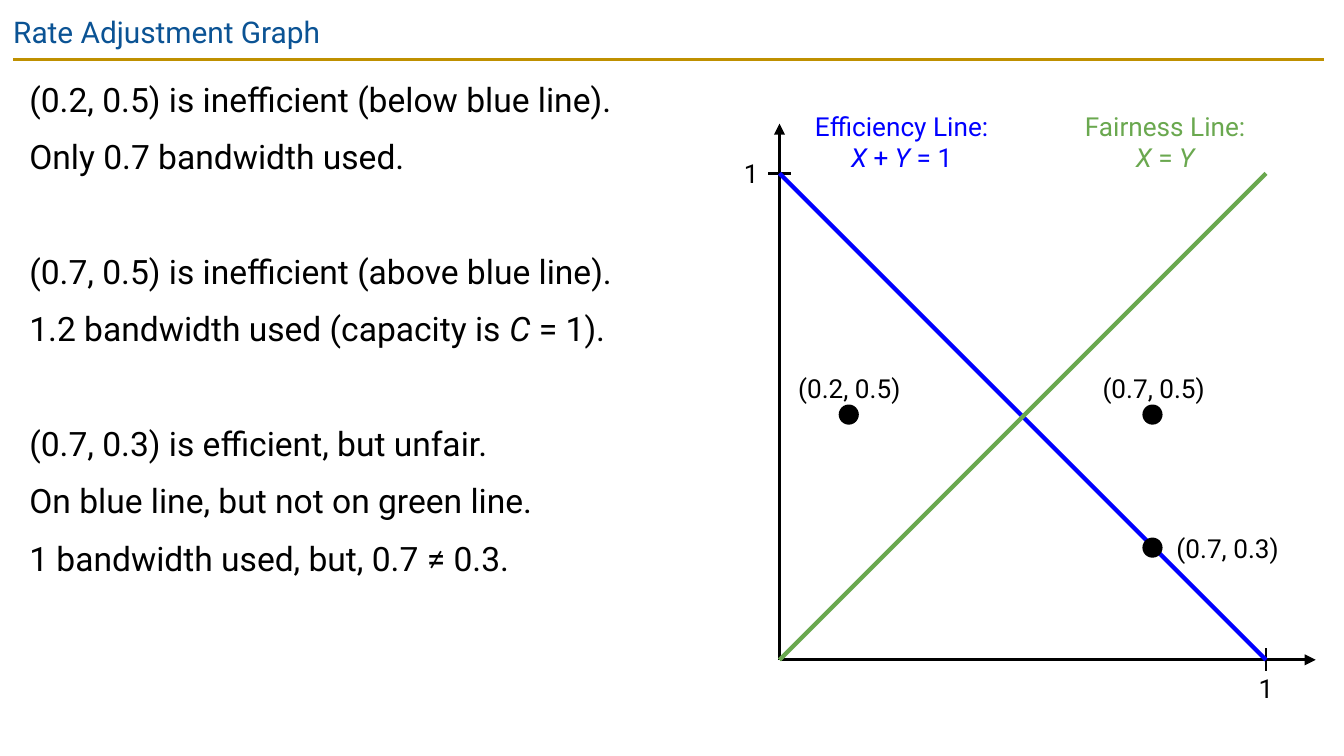
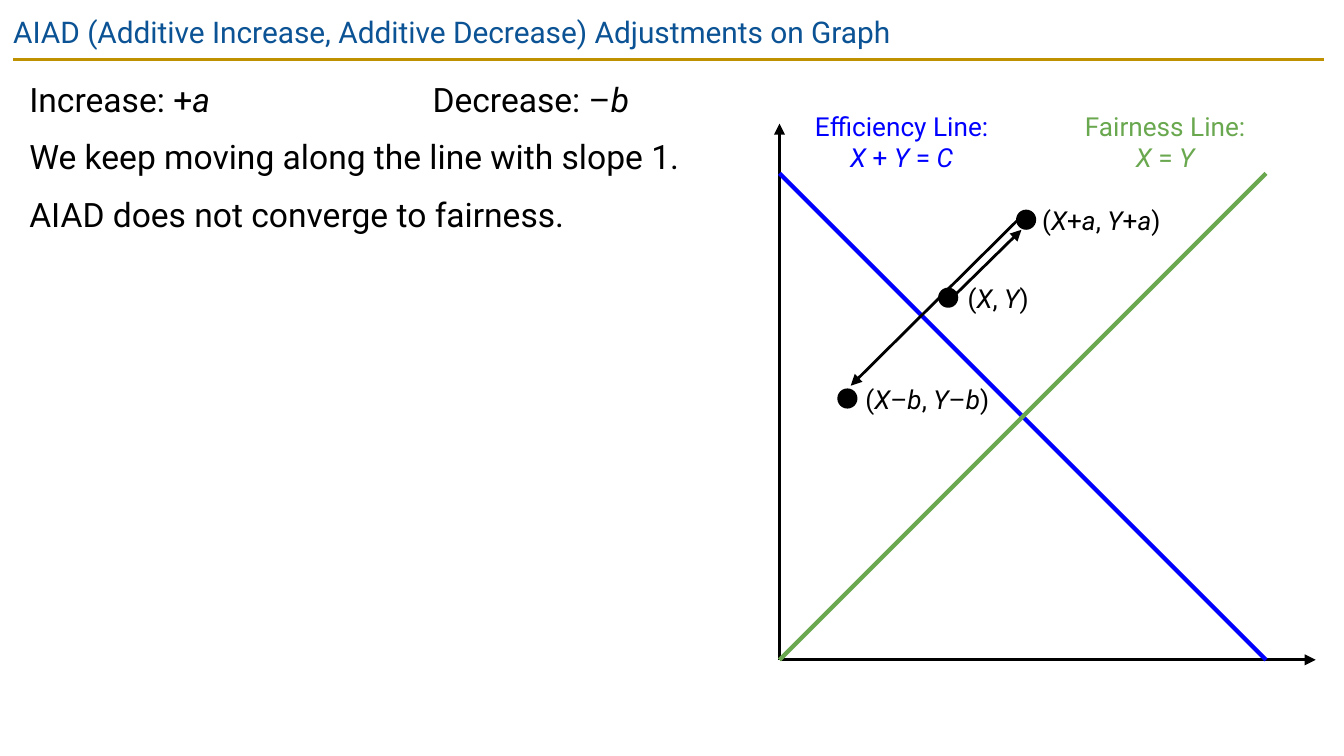
from lxml import etree
from pptx import Presentation, util as u
from pptx.dml.color import RGBColor
from pptx.enum import shapes, text
from pptx.oxml.ns import qn

# Content: *...* marks italics; each group of body lines is set apart by a gap
# Labels are (text, left, top, width, alignment); dots are (left, top)
SLIDES = [
    dict(
        title="Rate Adjustment Graph",
        body=[
            ["(0.2, 0.5) is inefficient (below blue line).",
             "Only 0.7 bandwidth used."],
            ["(0.7, 0.5) is inefficient (above blue line).",
             "1.2 bandwidth used (capacity is *C *= 1)."],
            ["(0.7, 0.3) is efficient, but unfair.",
             "On blue line, but not on green line.",
             "1 bandwidth used, but, 0.7 ≠ 0.3."],
        ],
        efficiency="*X* + *Y* = 1",
        ticks=True,
        labels=[("(0.2, 0.5)", 5.87, 2.77, 0.9, "center"),
                ("(0.7, 0.5)", 8.17, 2.77, 0.83, "center"),
                ("(0.7, 0.3)", 8.67, 3.96, 0.93, "center")],
        dots=[(6.24, 3.01), (8.5, 3.01), (8.5, 4)],
        moves=[],
    ),
    dict(
        title="AIAD (Additive Increase, Additive Decrease) Adjustments on Graph",
        body=[["Increase: +*a*\t\tDecrease: –*b*",
               "We keep moving along the line with slope 1.",
               "AIAD does not converge to fairness."]],
        efficiency="*X* + *Y* = *C*",
        ticks=False,
        labels=[("(*X*, *Y*)", 7.2, 2.1, 0.88, "left"),
                ("(*X*+*a*, *Y*+*a*)", 7.73, 1.52, 0.93, "center"),
                ("(*X*–*b*, *Y*–*b*)", 6.4, 2.85, 1, "center")],
        dots=[(6.98, 2.14), (7.56, 1.56), (6.23, 2.89)],
        moves=[((7.08, 2.22), (7.6, 1.71)), ((7.6, 1.61), (6.33, 2.87))],
    ),
]

# Shared style
COLORS = dict(title="0B5394", rule="BF9000", ink="000000",
              efficiency="0000FF", fairness="6AA84F")
FONT = "Roboto"
W = 10
H = W * 9 / 16
X0, Y0, UNIT = 5.8, 4.91, 3.62      # graph origin and length of 1
AXIS_X, AXIS_Y = 9.79, 0.92         # axis ends
TICK, DOT = 0.17, 0.15
TAB_STOPS = (2, 3)
ALIGN = dict(left=text.PP_ALIGN.LEFT, center=text.PP_ALIGN.CENTER)


def rgb(name):
    return RGBColor.from_string(COLORS[name])


def add_line(s, start, end, color="ink", width=1.5, arrow=False):
    c = s.shapes.add_connector(shapes.MSO_CONNECTOR.STRAIGHT,
                               *map(u.Inches, (*start, *end)))
    c.line.color.rgb = rgb(color)
    c.line.width = u.Pt(width)
    if arrow:
        etree.SubElement(c.line._get_or_add_ln(), qn("a:tailEnd"), type="triangle")
    etree.SubElement(c._element.spPr, qn("a:effectLst"))


def add_runs(p, marked, size, color):
    for i, part in enumerate(marked.split("*")):
        if part:
            r = p.add_run()
            r.text = part
            form = dict(name=FONT, size=u.Pt(size), italic=i % 2 == 1)
            for key, value in form.items():
                setattr(r.font, key, value)
            r.font.color.rgb = rgb(color)


def add_text(s, box, lines, size, color="ink", align="left", inset=0.0):
    tf = s.shapes.add_textbox(*map(u.Inches, box)).text_frame
    tf.word_wrap = True
    for side in ("left", "top", "right", "bottom"):
        setattr(tf, f"margin_{side}", u.Inches(inset))
    for i, line in enumerate(lines):
        p = tf.paragraphs[0] if i == 0 else tf.add_paragraph()
        p.alignment = ALIGN[align]
        add_runs(p, line, size, color)
    return tf


def add_body(s, groups):
    lines = [line for group in groups for line in group]
    starts = [i == 0 for group in groups for i in range(len(group))]
    tf = add_text(s, (0.12, 0.44, 5.17, 4.95), lines, 18, inset=0.1)
    for i, (p, opens) in enumerate(zip(tf.paragraphs, starts)):
        p.line_spacing = 1.15
        p.space_before = u.Pt(0 if i == 0 else 36.5 if opens else 6)
        if "\t" in lines[i]:
            tabs = etree.SubElement(p._p.get_or_add_pPr(), qn("a:tabLst"))
            for stop in TAB_STOPS:
                etree.SubElement(tabs, qn("a:tab"), pos=str(u.Inches(stop)), algn="l")


def add_graph(s, efficiency, ticks):
    one_x, one_y = X0 + UNIT, Y0 - UNIT
    # Axes
    add_line(s, (X0, Y0), (X0, AXIS_Y), arrow=True)
    add_line(s, (X0, Y0), (AXIS_X, Y0), arrow=True)
    if ticks:
        half = TICK / 2
        add_line(s, (X0 - half, one_y), (X0 + half, one_y))
        add_line(s, (one_x, Y0 - half), (one_x, Y0 + half))
        for left, top in ((X0 - 0.34, one_y - 0.12), (one_x - 0.13, Y0 + 0.09)):
            add_text(s, (left, top, 0.26, 0.24), ["1"], 14, align="center")
    # Efficiency and fairness lines with their captions
    add_line(s, (X0, one_y), (one_x, Y0), "efficiency", 2.25)
    add_line(s, (X0, Y0), (one_x, one_y), "fairness", 2.25)
    for name, left, formula in (("fairness", 8.02, "*X* = *Y*"),
                                ("efficiency", 6.06, efficiency)):
        add_text(s, (left, 0.82, 1.3, 0.47),
                 [f"{name.title()} Line:", formula], 14, name, "center")


def add_dot(s, left, top):
    sp = s.shapes.add_shape(shapes.MSO_SHAPE.OVAL,
                            *map(u.Inches, (left, top, DOT, DOT)))
    sp.shadow.inherit = False
    sp.fill.solid()
    sp.fill.fore_color.rgb = rgb("ink")
    sp.line.fill.background()


def main():
    prs = Presentation()
    prs.slide_width, prs.slide_height = u.Inches(W), u.Inches(H)
    for d in SLIDES:
        s = prs.slides.add_slide(prs.slide_layouts[6])
        # Title band
        add_line(s, (0.1, 0.44), (9.85, 0.44), "rule")
        add_text(s, (0, 0, 9.32, 0.43), [d["title"]], 16, "title", inset=0.1)
        add_body(s, d["body"])
        add_graph(s, d["efficiency"], d["ticks"])
        # Rate points and moves between them
        for label, left, top, width, align in d["labels"]:
            add_text(s, (left, top, width, 0.24), [label], 14, align=align)
        for left, top in d["dots"]:
            add_dot(s, left, top)
        for start, end in d["moves"]:
            add_line(s, start, end, arrow=True)
    prs.save("out.pptx")


if __name__ == "__main__":
    main()
